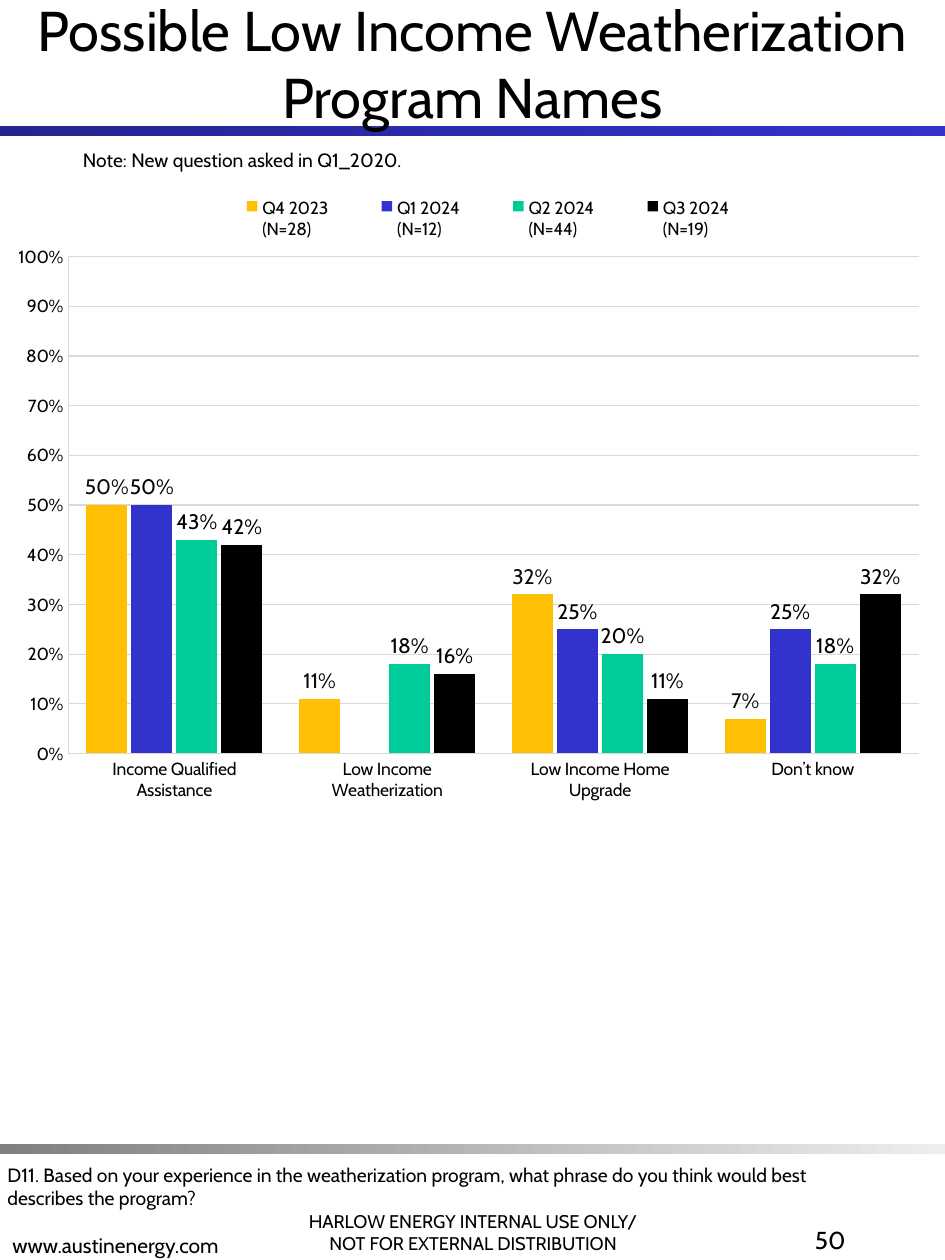
from typing import NamedTuple

from lxml import etree
from pptx import Presentation
from pptx.chart.data import CategoryChartData
from pptx.dml.color import RGBColor
from pptx.enum.chart import XL_CHART_TYPE, XL_LABEL_POSITION, XL_LEGEND_POSITION, XL_TICK_MARK
from pptx.enum.shapes import MSO_SHAPE
from pptx.enum.text import MSO_ANCHOR, PP_ALIGN
from pptx.oxml.ns import qn
from pptx.util import Inches, Pt

LEFT, CENTER, RIGHT = PP_ALIGN.LEFT, PP_ALIGN.CENTER, PP_ALIGN.RIGHT
TOP, MIDDLE, BOTTOM = MSO_ANCHOR.TOP, MSO_ANCHOR.MIDDLE, MSO_ANCHOR.BOTTOM
FONT = "Cabin"
BLACK, GRID = "000000", "D9D9D9"


class Band(NamedTuple):
    top: float
    start: str
    end: str


class Label(NamedTuple):
    box: tuple[float, float, float, float]
    lines: tuple[str, ...]
    size: float
    align: PP_ALIGN = LEFT
    anchor: MSO_ANCHOR = TOP


class Quarter(NamedTuple):
    name: str
    shares: tuple[float | None, ...]
    color: str
    label_color: str = BLACK


BANDS = (Band(1, "242492", "3333CC"), Band(9.08, "808080", "EDEDED"))

LABELS = (
    Label((2.16, 9.33, 3.19, 0.67),
          ("HARLOW ENERGY INTERNAL USE ONLY/", "NOT FOR EXTERNAL DISTRIBUTION"),
          10.5, CENTER, BOTTOM),
    Label((0, 9.36, 3.19, 0.67), ("www.austinenergy.com",), 12, LEFT, BOTTOM),
    Label((0, 0, 7.5, 1), ("Possible Low Income Weatherization Program Names",),
          32, CENTER, MIDDLE),
    Label((5.25, 9.67, 1.56, 0.67), ("50",), 14, RIGHT),
    Label((-0.04, 9.18, 6.85, 0.47),
          ("D11. Based on your experience in the weatherization program, what phrase "
           "do you think would best describes the program?",), 11),
    Label((0.56, 1.13, 6.44, 0.29), ("Note: New question asked in Q1_2020.",), 11),
)

PROGRAM_NAMES = ("Income Qualified Assistance", "Low Income Weatherization",
                 "Low Income Home Upgrade", "Don’t know")
QUARTERS = (
    Quarter("Q4 2023\n(N=28)", (0.5, 0.11, 0.32, 0.07), "FFC003", "0D0D0D"),
    Quarter("Q1 2024\n(N=12)", (0.5, None, 0.25, 0.25), "3233CC"),
    Quarter("Q2 2024\n(N=44)", (0.43, 0.18, 0.2, 0.18), "00CC9A"),
    Quarter("Q3 2024\n(N=19)", (0.42, 0.16, 0.11, 0.32), BLACK),
)


def rgb(value: str) -> RGBColor:
    return RGBColor.from_string(value)


def style_font(font, size: float, color: str = BLACK) -> None:
    for name, value in {"name": FONT, "size": Pt(size), "bold": False}.items():
        setattr(font, name, value)
    font.color.rgb = rgb(color)


def add_band(slide, band: Band) -> None:
    bar = slide.shapes.add_shape(MSO_SHAPE.RECTANGLE, Inches(0), Inches(band.top),
                                 Inches(7.5), Inches(0.08))
    bar.shadow.inherit = False
    bar.line.fill.background()
    bar.fill.gradient()
    bar.fill.gradient_angle = 0
    for stop, color, position in zip(bar.fill.gradient_stops, (band.start, band.end), (0, 1)):
        stop.color.rgb = rgb(color)
        stop.position = position


def add_label(slide, label: Label) -> None:
    frame = slide.shapes.add_textbox(*map(Inches, label.box)).text_frame
    frame.word_wrap = True
    frame.vertical_anchor = label.anchor
    frame.text = "\n".join(label.lines)
    for paragraph in frame.paragraphs:
        paragraph.alignment = label.align
        style_font(paragraph.runs[0].font, label.size)


def make_layout(x: float, y: float, w: float, h: float, inner: bool = False):
    """Manual layout in fractions of the chart area."""
    layout = etree.Element(qn("c:layout"))
    manual = etree.SubElement(layout, qn("c:manualLayout"))
    settings = {"layoutTarget": "inner"} if inner else {}
    settings |= {"xMode": "edge", "yMode": "edge", "x": x, "y": y, "w": w, "h": h}
    for tag, value in settings.items():
        etree.SubElement(manual, qn(f"c:{tag}")).set("val", str(value))
    return layout


def style_axis(axis, width: float) -> None:
    style = {"major_tick_mark": XL_TICK_MARK.NONE, "minor_tick_mark": XL_TICK_MARK.NONE}
    for name, value in style.items():
        setattr(axis, name, value)
    axis.format.line.color.rgb = rgb(GRID)
    axis.format.line.width = Pt(width)
    style_font(axis.tick_labels.font, 10)


def add_share_chart(slide) -> None:
    data = CategoryChartData(number_format="0%")
    data.categories = PROGRAM_NAMES
    for quarter in QUARTERS:
        data.add_series(quarter.name, quarter.shares)
    chart = slide.shapes.add_chart(XL_CHART_TYPE.COLUMN_CLUSTERED, Inches(0.03), Inches(1.13),
                                   Inches(7.39), Inches(5.5), data).chart
    chart.has_title = False
    style_font(chart.font, 10)

    style_axis(chart.category_axis, 0.62)
    shares = chart.value_axis
    style_axis(shares, 0.41)
    for name, value in {"minimum_scale": 0, "maximum_scale": 1, "major_unit": 0.1}.items():
        setattr(shares, name, value)
    shares.tick_labels.number_format = "0%"
    shares.tick_labels.number_format_is_linked = False
    shares.major_gridlines.format.line.color.rgb = rgb(GRID)
    shares.major_gridlines.format.line.width = Pt(0.62)

    chart.has_legend = True
    legend = chart.legend
    legend.position = XL_LEGEND_POSITION.TOP
    legend.include_in_layout = False
    style_font(legend.font, 10)

    plot = chart.plots[0]
    for name, value in {"gap_width": 90, "overlap": -10, "vary_by_categories": False}.items():
        setattr(plot, name, value)
    label_style = {"show_value": True, "number_format": "0%", "number_format_is_linked": False,
                   "position": XL_LABEL_POSITION.OUTSIDE_END}
    for series, quarter in zip(plot.series, QUARTERS):
        series.format.fill.solid()
        series.format.fill.fore_color.rgb = rgb(quarter.color)
        for name, value in label_style.items():
            setattr(series.data_labels, name, value)
        style_font(series.data_labels.font, 12, quarter.label_color)

    plot_area = chart.element.find(f".//{qn('c:plotArea')}")
    legend_area = chart.element.find(f".//{qn('c:legend')}")
    for area in (plot_area, legend_area):
        for layout in area.findall(qn("c:layout")):
            area.remove(layout)
    plot_area.insert(0, make_layout(0.069, 0.165, 0.914, 0.717, inner=True))
    legend_area.find(qn("c:legendPos")).addnext(make_layout(0.21, 0.07, 0.62, 0.08))


def main() -> None:
    deck = Presentation()
    deck.slide_width, deck.slide_height = Inches(7.5), Inches(10)
    slide = deck.slides.add_slide(deck.slide_layouts[6])
    for band in BANDS:
        add_band(slide, band)
    for label in LABELS:
        add_label(slide, label)
    add_share_chart(slide)
    deck.save("out.pptx")


if __name__ == "__main__":
    main()
